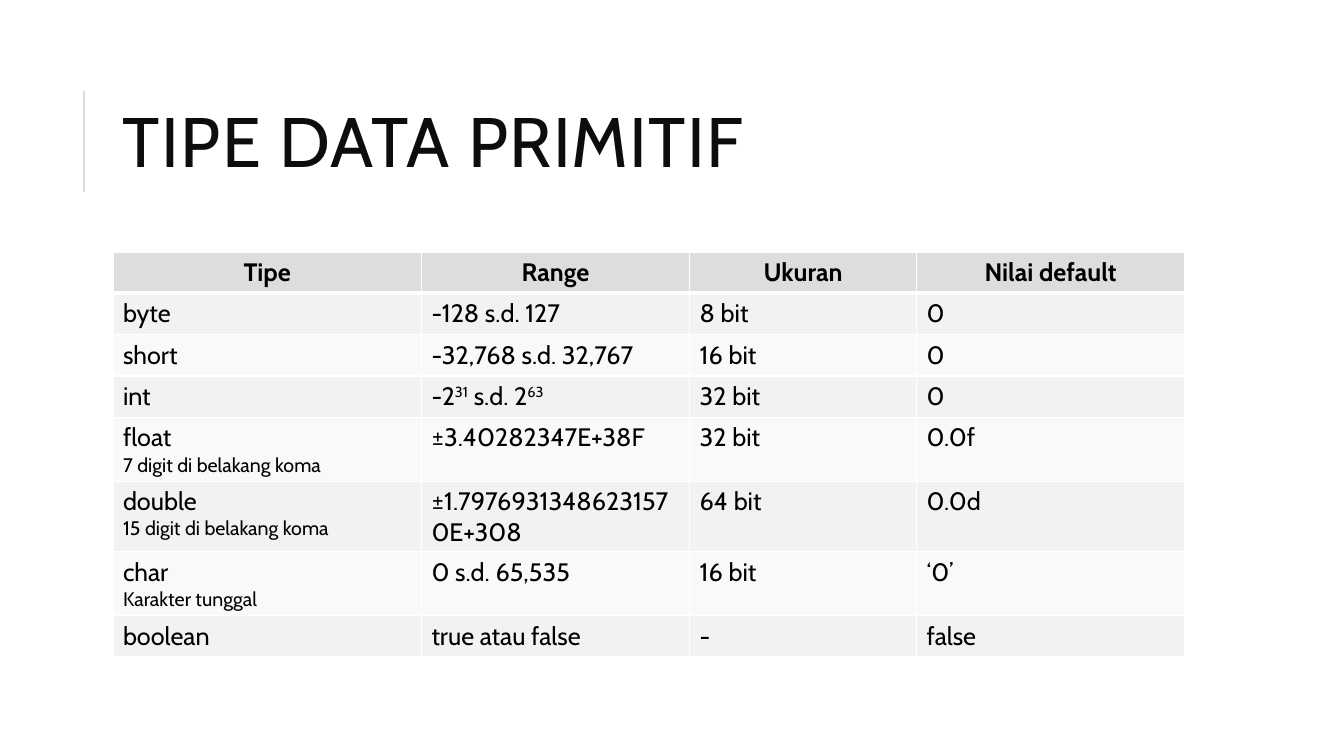
from lxml.etree import SubElement
from pptx import Presentation
from pptx.dml.color import RGBColor
from pptx.enum.shapes import MSO_CONNECTOR
from pptx.enum.text import MSO_ANCHOR, PP_ALIGN
from pptx.oxml.ns import qn
from pptx.util import Inches, Pt

COLORS = {
    "title": "0D0D0D",
    "text": "000000",
    "accent": "DDDDDD",
    "odd_row": "F2F2F2",
    "even_row": "F9F9F9",
    "border": "FFFFFF",
}
FONT = "Cabin"
COLUMN_WIDTHS = [3.06, 2.66, 2.25, 2.66]
ROW_HEIGHT = 0.41
ROWS = [
    ["Tipe", "Range", "Ukuran", "Nilai default"],
    ["byte ", "-128 s.d. 127", "8 bit", "0"],
    ["short", "-32,768 s.d. 32,767", "16 bit", "0"],
    ["int", "-2^31^ s.d. 2^63", "32 bit", "0"],
    ["float\n7 digit di belakang koma", "±3.40282347E+38F", "32 bit", "0.0f"],
    ["double\n15 digit di belakang koma", "±1.79769313486231570E+308\u00a0", "64 bit", "0.0d"],
    ["char\nKarakter tunggal", "0 s.d. 65,535", "16 bit", "‘0’"],
    ["boolean", "true atau false", "-", "false"],
]


def style_span(span, size, color, bold=False):
    span.font.name = FONT
    span.font.size = Pt(size)
    span.font.bold = bold
    span.font.color.rgb = RGBColor.from_string(COLORS[color])


def add_border(cell, side, width):
    line = SubElement(cell._tc.get_or_add_tcPr(), qn(f"a:ln{side}"), w=str(Pt(width)))
    fill = SubElement(line, qn("a:solidFill"))
    SubElement(fill, qn("a:srgbClr"), val=COLORS["border"])


deck = Presentation()
deck.slide_width = Inches(13.33)
deck.slide_height = Inches(7.5)
page = deck.slides.add_slide(deck.slide_layouts[6])

title_rule = page.shapes.add_connector(
    MSO_CONNECTOR.STRAIGHT, Inches(0.83), Inches(1.9), Inches(0.83), Inches(0.9)
)
title_rule.line.color.rgb = RGBColor.from_string(COLORS["accent"])
title_rule.line.width = Pt(1.5)
SubElement(title_rule._element.spPr, qn("a:effectLst"))

title_box = page.shapes.add_textbox(Inches(1.12), Inches(0.64), Inches(10.63), Inches(1.64))
title_box.text_frame.word_wrap = True
title_box.text_frame.vertical_anchor = MSO_ANCHOR.MIDDLE
title_box.text_frame.text = "TIPE DATA PRIMITIF"
title = title_box.text_frame.paragraphs[0]
title.line_spacing = 0.8
style_span(title.runs[0], 50, "title")
title.runs[0]._r.get_or_add_rPr().set("spc", "100")

table = page.shapes.add_table(
    len(ROWS), len(COLUMN_WIDTHS), Inches(1.12), Inches(2.5),
    Inches(sum(COLUMN_WIDTHS)), Inches(ROW_HEIGHT * len(ROWS)),
).table
for column, width in zip(table.columns, COLUMN_WIDTHS):
    column.width = Inches(width)

for row_index, row in enumerate(ROWS):
    table.rows[row_index].height = Inches(ROW_HEIGHT)
    header = row_index == 0
    row_color = "accent" if header else "odd_row" if row_index % 2 else "even_row"
    for column_index, text in enumerate(row):
        cell = table.cell(row_index, column_index)
        for side in "LRTB":
            header_edge = (row_index, side) in [(0, "B"), (1, "T")]
            add_border(cell, side, 3 if header_edge else 1)
        cell.fill.solid()
        cell.fill.fore_color.rgb = RGBColor.from_string(COLORS[row_color])
        cell.text_frame.text = text.replace("^", "")
        for line_index, paragraph in enumerate(cell.text_frame.paragraphs):
            paragraph.alignment = PP_ALIGN.CENTER if header else PP_ALIGN.LEFT
            if "^" in text:
                paragraph.clear()
                for part_index, part in enumerate(text.split("^")):
                    span = paragraph.add_run()
                    span.text = part
                    if part_index % 2:
                        span._r.get_or_add_rPr().set("baseline", "30000")
            for span in paragraph.runs:
                style_span(span, 14 if line_index else 18, "text", header)

deck.save("out.pptx")
